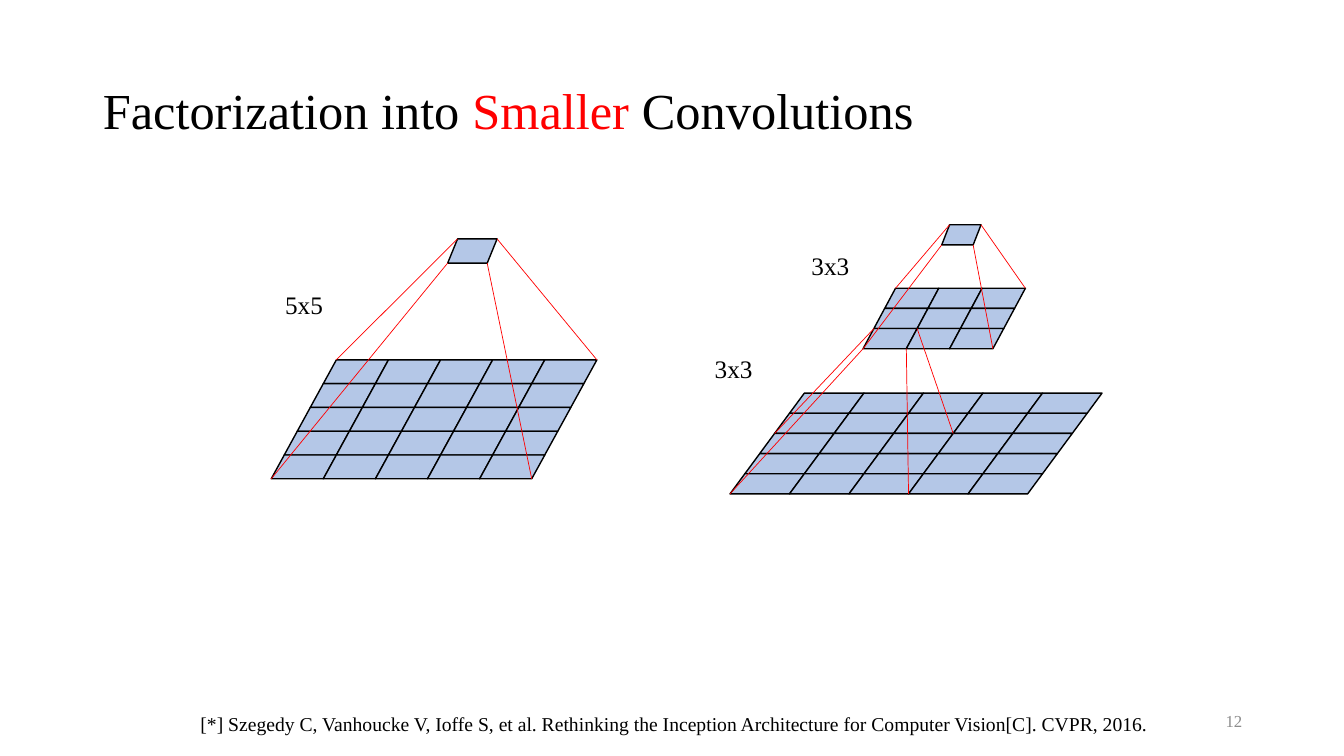
from dataclasses import dataclass
from itertools import product

from lxml.etree import SubElement
from pptx import Presentation
from pptx.dml.color import RGBColor
from pptx.enum.shapes import MSO_CONNECTOR as Connector, MSO_SHAPE as Shape
from pptx.enum.text import MSO_ANCHOR as Anchor, PP_ALIGN as Align
from pptx.oxml.ns import qn
from pptx.util import Inches, Pt


@dataclass(frozen=True)
class Theme:
    """Colours, font and sizes of the slide."""
    font: str = "Times New Roman"
    ink: RGBColor = RGBColor(0, 0, 0)
    accent: RGBColor = RGBColor(0xFF, 0, 0)
    cell: RGBColor = RGBColor(0xB4, 0xC7, 0xE7)
    muted: RGBColor = RGBColor(0x8C, 0x8C, 0x8C)
    title: int = 36
    label: int = 18
    citation: int = 14
    number: int = 12
    cell_line: float = 1
    beam_line: float = 0.5


THEME = Theme()


@dataclass(frozen=True)
class Layer:
    """A slanted square grid of cells, in inches."""
    left: float
    top: float
    width: float
    height: float
    cells: int

    @property
    def cell_width(self):
        """Outer width of one cell; its slant takes a fifth of it."""
        return self.width / self.cells

    def node(self, col, row):
        """Return the grid point at a column and row."""
        slant = self.cell_width / 5
        x = self.left + slant * (self.cells - row) + 4 * slant * col
        return x, self.top + self.height / self.cells * row

    def patch(self, size):
        """Return the corners of the lower left patch of a size."""
        top = self.cells - size
        return [self.node(col, row) for row, col in product((top, self.cells), (0, size))]


def style_run(run, size, color):
    """Apply the theme font to a run."""
    run.font.name = THEME.font
    run.font.size = Pt(size)
    run.font.color.rgb = color


def add_text(slide, box, text, size, color=THEME.ink, align=Align.LEFT, anchor=Anchor.TOP):
    """Add a one-paragraph text box."""
    frame = slide.shapes.add_textbox(*map(Inches, box)).text_frame
    frame.word_wrap = True
    frame.vertical_anchor = anchor
    frame.text = text
    frame.paragraphs[0].alignment = align
    style_run(frame.paragraphs[0].runs[0], size, color)


def add_title(slide, box, parts):
    """Fill the title placeholder with coloured parts."""
    title = slide.shapes.title
    title.left, title.top, title.width, title.height = map(Inches, box)
    title.text_frame.vertical_anchor = Anchor.MIDDLE
    heading = title.text_frame.paragraphs[0]
    heading.alignment = Align.LEFT
    heading.line_spacing = 0.9
    for text, color in parts:
        run = heading.add_run()
        run.text = text
        style_run(run, THEME.title, color)


def add_layer(slide, layer):
    """Draw the cells of a layer, grouped if there are several."""
    shapes = slide.shapes if layer.cells == 1 else slide.shapes.add_group_shape().shapes
    size = Inches(layer.cell_width), Inches(layer.height / layer.cells)
    for row, col in product(range(layer.cells), repeat=2):
        x, y = layer.node(col, row + 1)
        cell = shapes.add_shape(Shape.FLOWCHART_DATA, Inches(x), Inches(y) - size[1], *size)
        cell.shadow.inherit = False
        cell.fill.solid()
        cell.fill.fore_color.rgb = THEME.cell
        cell.line.color.rgb = THEME.ink
        cell.line.width = Pt(THEME.cell_line)


def add_beams(slide, output, field):
    """Join the corners of an output cell to those of its receptive field."""
    for start, end in zip(output, field):
        beam = slide.shapes.add_connector(Connector.STRAIGHT, *map(Inches, start + end))
        beam.line.color.rgb = THEME.accent
        beam.line.width = Pt(THEME.beam_line)
        SubElement(beam._element.spPr, qn("a:effectLst"))


def add_convolution(slide, box, layers, kernel, labels):
    """Draw stacked layers, base first, with kernel beams and labels in a box."""
    left, top = box
    stack = [Layer(left + x, top + y, *rest) for x, y, *rest in layers]
    for layer in stack:
        add_layer(slide, layer)
    for base, above in zip(stack, stack[1:]):
        add_beams(slide, above.patch(1), base.patch(kernel))
    for x, y in labels:
        add_text(slide, (left + x, top + y, 0.58, 0.4), f"{kernel}x{kernel}", THEME.label)


def main():
    """Build and save the slide."""
    deck = Presentation()
    deck.slide_width, deck.slide_height = Inches(13.33), Inches(7.5)
    slide = deck.slides.add_slide(deck.slide_layouts[5])
    add_title(slide, (0.92, 0.4, 11.5, 1.45), [
        ("Factorization into ", THEME.ink),
        ("Smaller", THEME.accent),
        (" Convolutions", THEME.ink),
    ])
    add_text(slide, (9.42, 6.95, 3, 0.4), "12", THEME.number, THEME.muted,
             Align.RIGHT, Anchor.MIDDLE)
    add_convolution(slide, (2.69, 2.37),
                    [(0, 1.2, 3.23, 1.18, 5), (1.75, 0, 0.49, 0.24, 1)],
                    5, [(0.04, 0.45)])
    add_convolution(slide, (6.99, 2.23),
                    [(0.25, 1.67, 3.69, 1, 5), (1.57, 0.63, 1.61, 0.6, 3),
                     (2.35, 0, 0.39, 0.2, 1)],
                    3, [(0, 1.23), (0.96, 0.2)])
    add_text(slide, (1.89, 7.01, 10.04, 0.34),
             "[*] Szegedy C, Vanhoucke V, Ioffe S, et al. Rethinking the Inception "
             "Architecture for Computer Vision[C]. CVPR, 2016.", THEME.citation)
    deck.save("out.pptx")


if __name__ == "__main__":
    main()
